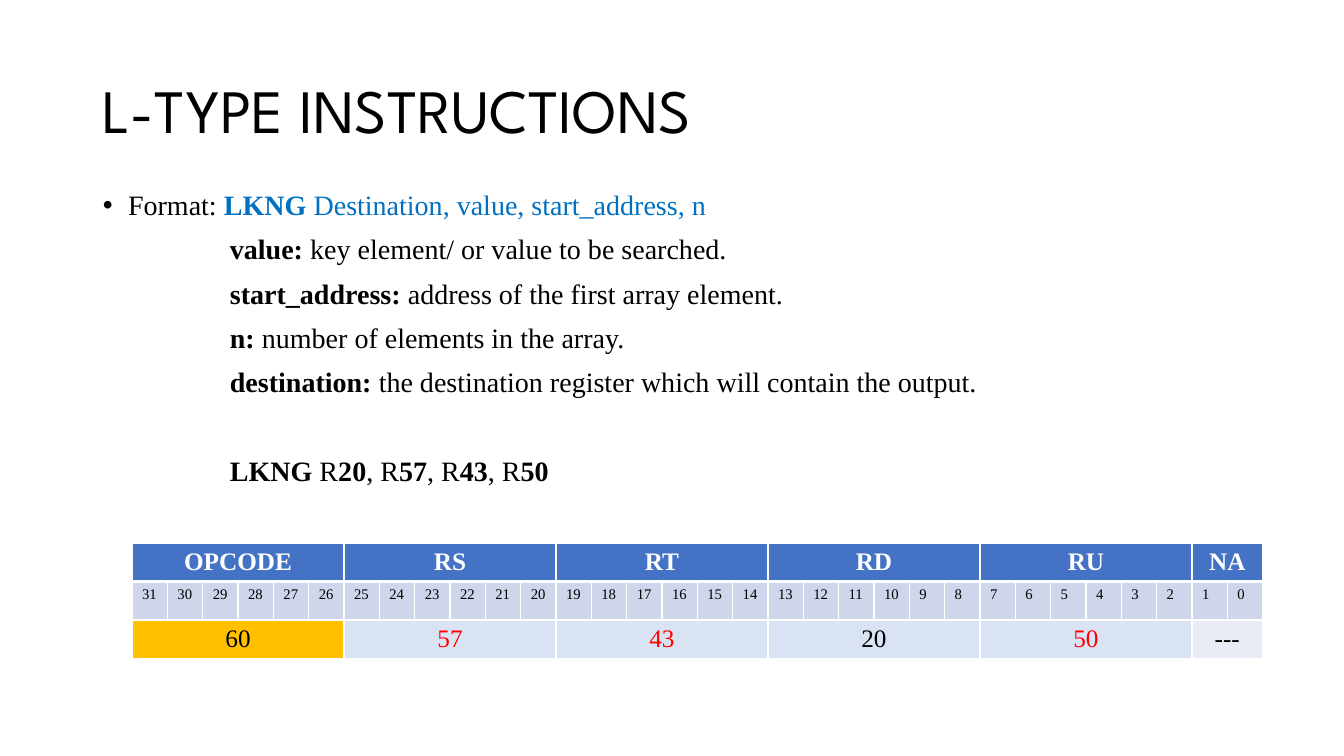
import pptx
import pptx.util
import pptx.dml.color
import pptx.enum.text
import pptx.oxml
import pptx.oxml.ns

RGBColor = pptx.dml.color.RGBColor
Inches = pptx.util.Inches
Pt = pptx.util.Pt
ALIGN = pptx.enum.text.PP_ALIGN
ANCHOR = pptx.enum.text.MSO_ANCHOR

BLACK = RGBColor(0x00, 0x00, 0x00)
WHITE = RGBColor(0xFF, 0xFF, 0xFF)
RED = RGBColor(0xFF, 0x00, 0x00)
SYNTAX_BLUE = RGBColor(0x00, 0x70, 0xC0)
HEADER_BLUE = RGBColor(0x44, 0x72, 0xC4)
BIT_BLUE = RGBColor(0xCF, 0xD5, 0xEA)
VALUE_BLUE = RGBColor(0xDA, 0xE3, 0xF3)
UNUSED_GREY = RGBColor(0xE9, 0xEB, 0xF5)
OPCODE_GOLD = RGBColor(0xFF, 0xC0, 0x00)

HEADING_FONT = "League Spartan"
TEXT_FONT = "Times New Roman"

HEADING = "L-TYPE INSTRUCTIONS"
SYNTAX = [("Format: ", False, BLACK), ("LKNG", True, SYNTAX_BLUE),
          (" Destination, value, start_address, n", False, SYNTAX_BLUE)]
OPERANDS = [
    ("value: ", "key element/ or value to be searched."),
    ("start_address: ", "address of the first array element."),
    ("n: ", "number of elements in the array."),
    ("destination: ", "the destination register which will contain the output."),
]
EXAMPLE_REGISTERS = ["20", "57", "43", "50"]

# field, bits, value, value colour, value fill
FIELDS = [
    ("OPCODE", 6, "60", BLACK, OPCODE_GOLD),
    ("RS", 6, "57", RED, VALUE_BLUE),
    ("RT", 6, "43", RED, VALUE_BLUE),
    ("RD", 6, "20", BLACK, VALUE_BLUE),
    ("RU", 6, "50", RED, VALUE_BLUE),
    ("NA", 2, "---", BLACK, UNUSED_GREY),
]
WORD_BITS = sum(field[1] for field in FIELDS)
HEADER_ROW, BIT_ROW, VALUE_ROW = range(3)

GRID_LEFT, GRID_TOP, GRID_WIDTH, ROW_HEIGHT = 1.31, 5.39, 11.22, 0.38
LINE_GAP = 10
EXAMPLE_GAP = 41.5
OPERAND_INDENT = 1.26


def write(paragraph, text, size=20, color=BLACK, bold=False, font=TEXT_FONT):
    """Append a formatted run to a paragraph."""
    run = paragraph.add_run()
    run.text = text
    run.font.size = Pt(size)
    run.font.bold = bold
    run.font.name = font
    run.font.color.rgb = color


def place(holder, left, top, width, height):
    """Move a placeholder to a position in inches."""
    holder.left, holder.top = Inches(left), Inches(top)
    holder.width, holder.height = Inches(width), Inches(height)
    holder.text_frame.word_wrap = True
    holder.text_frame.auto_size = pptx.enum.text.MSO_AUTO_SIZE.NONE


def set_layout(paragraph, margin, hanging=0, bullet=None, before=LINE_GAP):
    """Set spacing, indents and bullet of a body paragraph."""
    paragraph.alignment = ALIGN.LEFT
    paragraph.line_spacing = 0.9
    paragraph.space_before = Pt(before)
    props = paragraph._p.get_or_add_pPr()
    props.set("marL", str(Inches(margin)))
    props.set("indent", str(-Inches(hanging)))
    mark = f'buChar char="{bullet}"' if bullet else "buNone"
    props.append(pptx.oxml.parse_xml(f'<a:{mark} {pptx.oxml.ns.nsdecls("a")}/>'))


def set_borders(cell, top, bottom):
    """Draw white borders; top and bottom widths are in points."""
    props = cell._tc.get_or_add_tcPr()
    for side, width in (("L", 1), ("R", 1), ("T", top), ("B", bottom)):
        props.append(pptx.oxml.parse_xml(
            f'<a:ln{side} w="{Pt(width)}" {pptx.oxml.ns.nsdecls("a")}>'
            f'<a:solidFill><a:srgbClr val="{WHITE}"/></a:solidFill></a:ln{side}>'))


def fill_cell(cell, text, fill, align=ALIGN.CENTER, **text_format):
    """Give a cell its fill and one line of text."""
    cell.fill.solid()
    cell.fill.fore_color.rgb = fill
    paragraph = cell.text_frame.paragraphs[0]
    paragraph.alignment = align
    write(paragraph, text, **text_format)


def add_body(body):
    """Write the syntax, the operand meanings and the example."""
    frame = body.text_frame
    frame.vertical_anchor = ANCHOR.TOP
    syntax = frame.paragraphs[0]
    set_layout(syntax, 0.25, hanging=0.25, bullet="\u2022")
    for text, bold, color in SYNTAX:
        write(syntax, text, bold=bold, color=color)
    for operand, meaning in OPERANDS:
        line = frame.add_paragraph()
        set_layout(line, OPERAND_INDENT)
        write(line, operand, bold=True)
        write(line, meaning)
    example = frame.add_paragraph()
    set_layout(example, OPERAND_INDENT, before=EXAMPLE_GAP)
    write(example, "LKNG", bold=True)
    for index, register in enumerate(EXAMPLE_REGISTERS):
        write(example, ", R" if index else " R")
        write(example, register, bold=True)


def add_word_grid(slide):
    """Add the table of instruction fields, bit numbers and values."""
    grid = slide.shapes.add_table(
        3, WORD_BITS, Inches(GRID_LEFT), Inches(GRID_TOP),
        Inches(GRID_WIDTH), Inches(3 * ROW_HEIGHT)).table
    for row in grid.rows:
        row.height = Inches(ROW_HEIGHT)
    for column in range(WORD_BITS):
        grid.columns[column].width = Inches(GRID_WIDTH / WORD_BITS)
        set_borders(grid.cell(HEADER_ROW, column), 1, 3)
        set_borders(grid.cell(BIT_ROW, column), 3, 1)
        set_borders(grid.cell(VALUE_ROW, column), 1, 1)
        fill_cell(grid.cell(BIT_ROW, column), str(WORD_BITS - 1 - column),
                  BIT_BLUE, align=ALIGN.LEFT, size=10.5)
    start = 0
    for field, bits, value, color, fill in FIELDS:
        for row in (HEADER_ROW, VALUE_ROW):
            grid.cell(row, start).merge(grid.cell(row, start + bits - 1))
        fill_cell(grid.cell(HEADER_ROW, start), field, HEADER_BLUE,
                  size=18, color=WHITE, bold=True)
        fill_cell(grid.cell(VALUE_ROW, start), value, fill, size=18, color=color)
        start += bits


deck = pptx.Presentation()
deck.slide_width, deck.slide_height = Inches(13.33), Inches(7.5)
slide = deck.slides.add_slide(deck.slide_layouts[1])

heading, body = slide.placeholders
place(heading, 0.92, 0.4, 11.5, 1.45)
heading.text_frame.vertical_anchor = ANCHOR.MIDDLE
heading_line = heading.text_frame.paragraphs[0]
heading_line.alignment = ALIGN.LEFT
heading_line.line_spacing = 0.9
write(heading_line, HEADING, size=44, font=HEADING_FONT)

place(body, 0.92, 1.85, 11.71, 4.91)
add_body(body)
add_word_grid(slide)

deck.save("out.pptx")
